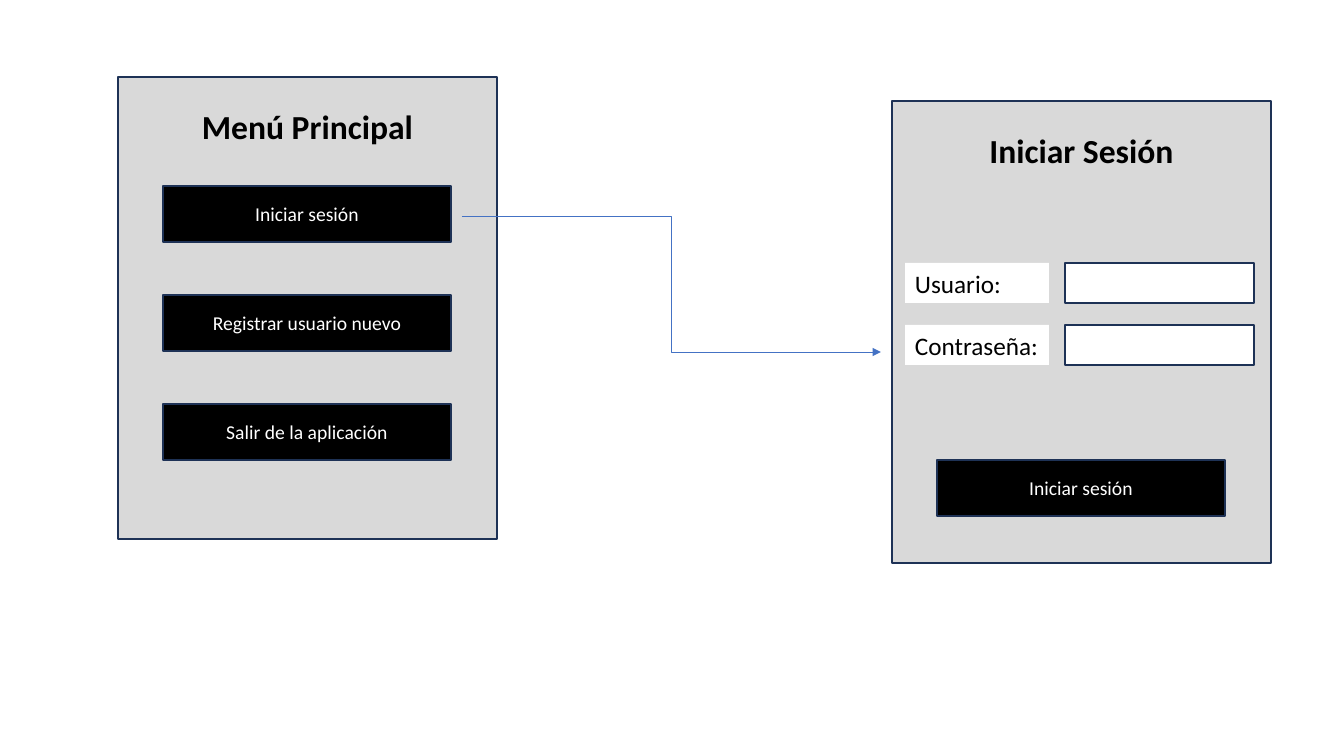
import pptx
import pptx.dml.color
import pptx.enum.shapes
import pptx.enum.text
import pptx.oxml
import pptx.oxml.ns
import pptx.util

SCREENS = [
    {"title": "Menú Principal", "corner": (118, 77), "fields": [],
     "buttons": ["Iniciar sesión", "Registrar usuario nuevo", "Salir de la aplicación"],
     "first_button": 109},
    {"title": "Iniciar Sesión", "corner": (892, 101),
     "fields": ["Usuario:", "Contraseña:"],
     "buttons": ["Iniciar sesión"], "first_button": 359},
]
ARROW = ((462, 216), (881, 352))

THEME = {
    "font": "Calibri", "panel": "D9D9D9", "border": "1E3256", "button": "000000",
    "field": "FFFFFF", "dark": "000000", "light": "FFFFFF", "arrow": "4472C4",
    "title_size": 24, "label_size": 18, "button_size": 14,
    "border_width": 1, "arrow_width": 0.5,
}

EMU_PER_PIXEL = 914400 / 100.8
SLIDE = (1344, 756)
PANEL = (379, 462)
TITLE_TOP, TITLE_HEIGHT = 24, 50
BUTTON = (288, 56)
BUTTON_PITCH = 109
LABEL_LEFT, LABEL = 13, (144, 40)
INPUT_LEFT, INPUT = 173, (189, 40)
FIELD_TOP, FIELD_PITCH = 162, 62

ALIGN = pptx.enum.text.PP_ALIGN
ANCHOR = pptx.enum.text.MSO_ANCHOR


def emu(*pixels):
    """Turn pixel lengths into EMU."""
    return [pptx.util.Emu(round(length * EMU_PER_PIXEL)) for length in pixels]


def color(name):
    """Look up a theme colour."""
    return pptx.dml.color.RGBColor.from_string(THEME[name])


def write(shape, text, size, ink, align, anchor, bold=False):
    """Put one formatted line of text into a shape."""
    frame = shape.text_frame
    frame.word_wrap = True
    frame.vertical_anchor = anchor
    para = frame.paragraphs[0]
    para.alignment = align
    span = para.add_run()
    span.text = text
    span.font.color.rgb = color(ink)
    formats = {"name": THEME["font"], "size": pptx.util.Pt(THEME[size]), "bold": bold}
    for key, value in formats.items():
        setattr(span.font, key, value)


def add_box(page, place, size, fill, bordered=True):
    """Draw a filled rectangle, with or without a border."""
    box = page.shapes.add_shape(
        pptx.enum.shapes.MSO_SHAPE.RECTANGLE, *emu(*place, *size))
    box.shadow.inherit = False
    box.fill.solid()
    box.fill.fore_color.rgb = color(fill)
    if bordered:
        box.line.color.rgb = color("border")
        box.line.width = pptx.util.Pt(THEME["border_width"])
    else:
        box.line.fill.background()
    return box


def add_screen(page, screen):
    """Draw one screen: panel, title, input fields and buttons."""
    left, top = screen["corner"]
    add_box(page, (left, top), PANEL, "panel")
    title = page.shapes.add_textbox(*emu(left, top + TITLE_TOP, PANEL[0], TITLE_HEIGHT))
    write(title, screen["title"], "title_size", "dark", ALIGN.CENTER, ANCHOR.TOP, True)
    for row, text in enumerate(screen["fields"]):
        field_top = top + FIELD_TOP + row * FIELD_PITCH
        label = add_box(page, (left + LABEL_LEFT, field_top), LABEL, "field", False)
        write(label, text, "label_size", "dark", ALIGN.LEFT, ANCHOR.TOP)
        label.text_frame.word_wrap = False
        add_box(page, (left + INPUT_LEFT, field_top), INPUT, "field")
    button_left = left + (PANEL[0] - BUTTON[0]) // 2
    for row, text in enumerate(screen["buttons"]):
        button_top = top + screen["first_button"] + row * BUTTON_PITCH
        button = add_box(page, (button_left, button_top), BUTTON, "button")
        write(button, text, "button_size", "light", ALIGN.CENTER, ANCHOR.MIDDLE)


def add_arrow(page, start, end):
    """Join two points with a bent arrow."""
    arrow = page.shapes.add_connector(
        pptx.enum.shapes.MSO_CONNECTOR.ELBOW, *emu(*start, *end))
    arrow.line.color.rgb = color("arrow")
    arrow.line.width = pptx.util.Pt(THEME["arrow_width"])
    head = pptx.oxml.parse_xml(
        f'<a:tailEnd {pptx.oxml.ns.nsdecls("a")} type="triangle"/>')
    arrow.line._get_or_add_ln().append(head)
    arrow._element.spPr.append(
        pptx.oxml.parse_xml(f'<a:effectLst {pptx.oxml.ns.nsdecls("a")}/>'))


deck = pptx.Presentation()
deck.slide_width, deck.slide_height = emu(*SLIDE)
page = deck.slides.add_slide(deck.slide_layouts[6])
for screen in SCREENS:
    add_screen(page, screen)
add_arrow(page, *ARROW)
deck.save("out.pptx")
